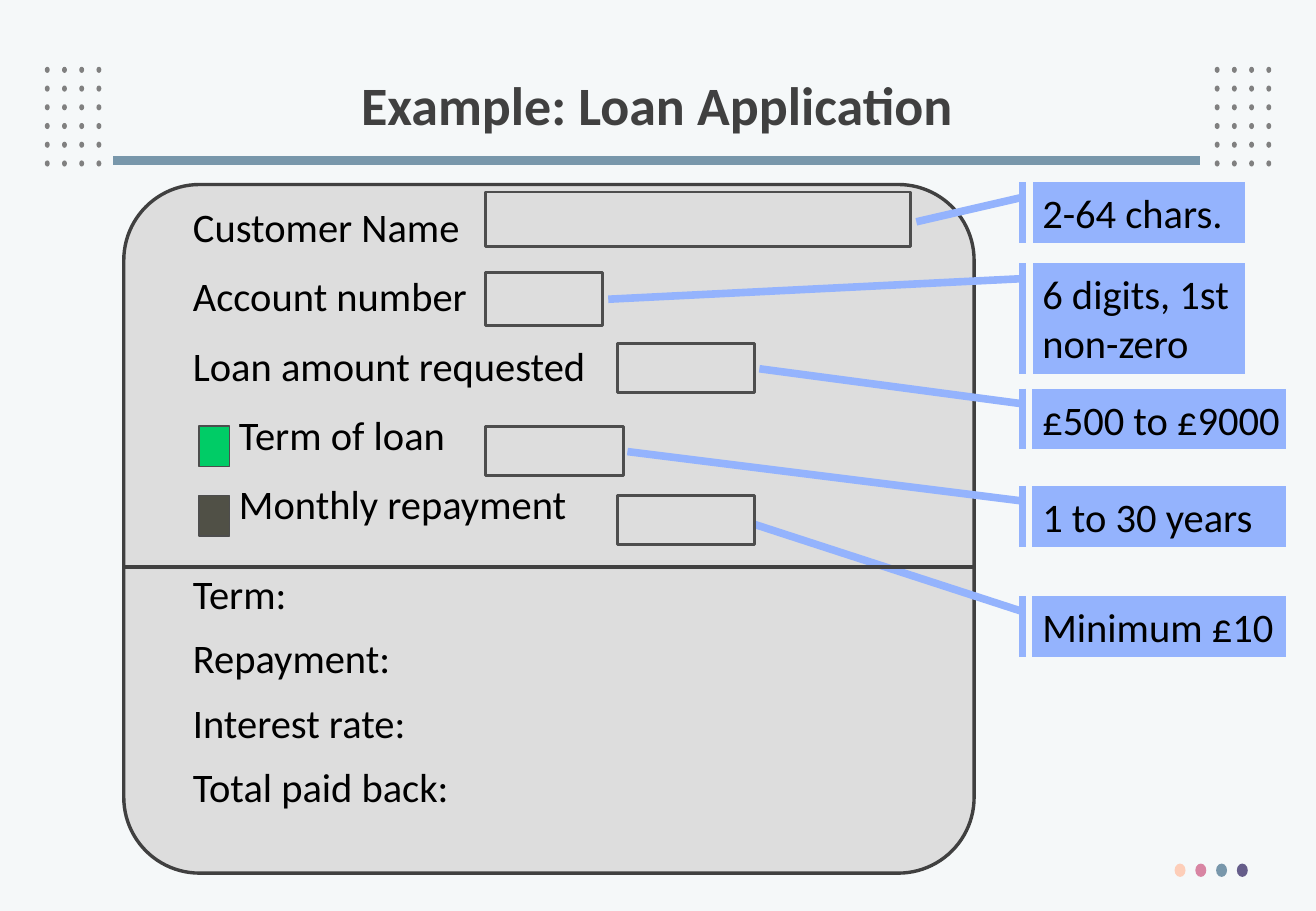
import pptx
import pptx.util
import pptx.dml.color
import pptx.enum.shapes
import pptx.enum.text
import pptx.oxml.ns
import lxml.etree

Pt = pptx.util.Pt
RGBColor = pptx.dml.color.RGBColor
MSO_SHAPE = pptx.enum.shapes.MSO_SHAPE
PP_ALIGN = pptx.enum.text.PP_ALIGN
MSO_ANCHOR = pptx.enum.text.MSO_ANCHOR

BACKGROUND = RGBColor(0xF5, 0xF8, 0xF9)
BLACK = RGBColor(0, 0, 0)
CHARCOAL = RGBColor(0x40, 0x40, 0x40)
OUTLINE = RGBColor(0x4D, 0x4D, 0x4D)
DOT = RGBColor(0x80, 0x80, 0x80)
PANEL = RGBColor(0xDD, 0xDD, 0xDD)
CALLOUT = RGBColor(0x94, 0xB3, 0xFD)
GREEN = RGBColor(0x00, 0xCC, 0x66)
OLIVE = RGBColor(0x50, 0x50, 0x46)
PEACH = RGBColor(0xFD, 0xCE, 0xB9)
PINK = RGBColor(0xD8, 0x85, 0xA3)
STEEL = RGBColor(0x78, 0x97, 0xAB)
PURPLE = RGBColor(0x65, 0x5D, 0x8A)

prs = pptx.Presentation()
prs.slide_width, prs.slide_height = Pt(780), Pt(540)
s = prs.slides.add_slide(prs.slide_layouts[5])
s.background.fill.solid()
s.background.fill.fore_color.rgb = BACKGROUND


def add_shape(kind, x, y, w, h, fill=None, line=None, width=1):
    sp = s.shapes.add_shape(kind, Pt(x), Pt(y), Pt(w), Pt(h))
    sp.shadow.inherit = False
    if fill is None:
        sp.fill.background()
    else:
        sp.fill.solid()
        sp.fill.fore_color.rgb = fill
    if line is None:
        sp.line.fill.background()
    else:
        sp.line.color.rgb = line
        sp.line.width = Pt(width)
    return sp


def add_rule(x1, x2, y, color, width):
    c = s.shapes.add_connector(
        pptx.enum.shapes.MSO_CONNECTOR.STRAIGHT, Pt(x1), Pt(y), Pt(x2), Pt(y))
    c.line.color.rgb = color
    c.line.width = Pt(width)
    lxml.etree.SubElement(c._element.spPr, pptx.oxml.ns.qn("a:effectLst"))


title = s.shapes.title
title.left, title.top, title.width, title.height = Pt(53.3), Pt(28.8), Pt(672.5), Pt(70.6)
tf = title.text_frame
tf.text = "Example: Loan Application"
tf.vertical_anchor = MSO_ANCHOR.MIDDLE
p = tf.paragraphs[0]
p.alignment = PP_ALIGN.CENTER
p.line_spacing = 0.9
p.font.name, p.font.size, p.font.bold = "Calibri", Pt(32), True
p.font.color.rgb = CHARCOAL

for left in (26.6, 720):
    for row in range(6):
        for col in range(4):
            add_shape(MSO_SHAPE.OVAL, left + 10.2 * col, 39.6 + 11.1 * row, 2.9, 3.6, DOT)

add_rule(67, 711.4, 95, STEEL, 5.25)

for i, color in enumerate((PEACH, PINK, STEEL, PURPLE)):
    add_shape(MSO_SHAPE.OVAL, 696.2 + 12.3 * i, 511.9, 6.5, 7.9, color)

panel = add_shape(MSO_SHAPE.ROUNDED_RECTANGLE, 73.4, 109.4, 504, 408.2, PANEL, CHARCOAL, 2)
panel.adjustments[0] = 0.11

labels = [
    ("Customer Name", 1.1, 0, 0),
    ("Account number", 1.1, 9.5, 0),
    ("Loan amount requested", 1.1, 9.5, 0),
    ("Term of loan", 1.1, 9.5, 27.3),
    ("Monthly repayment", 1.1, 9.5, 27.3),
    ("Term:", 1, 24, 0),
    ("Repayment:", 1, 9.5, 0),
    ("Interest rate:", 1, 9.5, 0),
    ("Total paid back:", 1, 9.5, 0),
]
tf = s.shapes.add_textbox(Pt(109.4), Pt(114.5), Pt(460), Pt(398)).text_frame
tf.word_wrap = True
tf.margin_left = tf.margin_right = Pt(5)
tf.margin_top = tf.margin_bottom = Pt(2.2)
tf.text = "\n".join(label[0] for label in labels)
for p, (text, spacing, before, indent) in zip(tf.paragraphs, labels):
    p.line_spacing = spacing
    p.space_before = Pt(before)
    p._p.get_or_add_pPr().set("marL", str(Pt(indent)))
    p.font.name, p.font.size = "Calibri", Pt(24)
    p.font.color.rgb = BLACK

for y, color in ((252.7, GREEN), (293.8, OLIVE)):
    add_shape(MSO_SHAPE.ACTION_BUTTON_CUSTOM, 118, y, 18, 23.8, color, OUTLINE)

callouts = [
    ("2-64 chars.", 108, 126, 36, 543.1, 131.5),
    ("6 digits, 1st\nnon-zero", 156.2, 126, 65.5, 360.5, 177.4),
    ("£500 to £9000", 230.4, 150, 36, 450.1, 218.6),
    ("1 to 30 years", 288, 150, 36, 371.9, 267.7),
    ("Minimum £10", 353.5, 150, 36, 447.1, 310.8),
]
callout_x = 612
for text, y, w, h, target_x, target_y in callouts:
    sp = add_shape(MSO_SHAPE.LINE_CALLOUT_1_ACCENT_BAR, callout_x, y, w, h, CALLOUT, CALLOUT, 4.5)
    points = (9 / h, -6 / w, (target_y - y) / h, (target_x - callout_x) / w)
    for i, value in enumerate(points):
        sp.adjustments[i] = value
    tf = sp.text_frame
    tf.word_wrap = True
    tf.vertical_anchor = MSO_ANCHOR.TOP
    tf.margin_left, tf.margin_right = Pt(5.8), Pt(0)
    tf.margin_top = tf.margin_bottom = Pt(3.6)
    tf.text = text
    for p in tf.paragraphs:
        p.alignment = PP_ALIGN.LEFT
        p.font.name, p.font.size = "Calibri", Pt(24)
        p.font.color.rgb = BLACK

fields = [
    (288, 113.8, 252, 32.4),
    (288, 161.3, 69.4, 31.7),
    (366, 203.4, 81.4, 29),
    (288, 252.7, 81.4, 29),
    (366, 293.8, 81.4, 29),
]
for x, y, w, h in fields:
    add_shape(MSO_SHAPE.RECTANGLE, x, y, w, h, None, OUTLINE, 1.75)

add_rule(73.4, 577.4, 336.2, CHARCOAL, 2.25)

prs.save("out.pptx")
